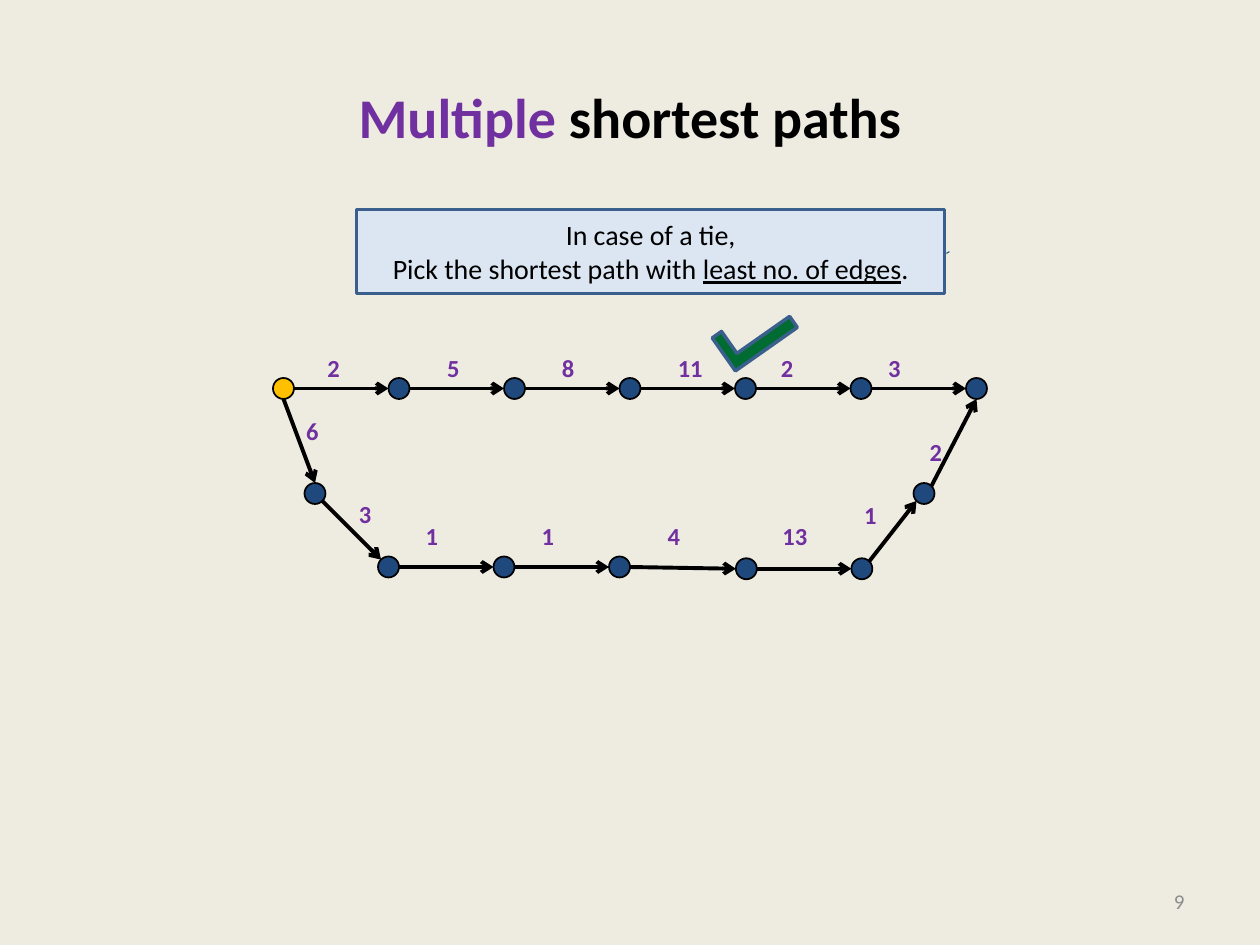
from dataclasses import dataclass
from math import sqrt

from lxml import etree
from pptx import Presentation
from pptx.dml.color import RGBColor
from pptx.enum.shapes import MSO_CONNECTOR, MSO_SHAPE
from pptx.enum.text import MSO_ANCHOR, PP_ALIGN
from pptx.oxml.ns import qn
from pptx.util import Pt

STRAIGHT = MSO_CONNECTOR.STRAIGHT
OVAL, CALLOUT, RECTANGLE = MSO_SHAPE.OVAL, MSO_SHAPE.LINE_CALLOUT_1, MSO_SHAPE.RECTANGLE
LEFT, CENTER, RIGHT = PP_ALIGN.LEFT, PP_ALIGN.CENTER, PP_ALIGN.RIGHT
MIDDLE = MSO_ANCHOR.MIDDLE

BEIGE = RGBColor(0xEE, 0xEC, 0xE1)
PURPLE = RGBColor(0x70, 0x30, 0xA0)
BLACK = RGBColor(0, 0, 0)
GRAY = RGBColor(0x8C, 0x8C, 0x8C)
PALE_BLUE = RGBColor(0xDC, 0xE6, 0xF2)
STEEL = RGBColor(0x3A, 0x5F, 0x8C)
NAVY = RGBColor(0x1F, 0x49, 0x7D)
GOLD = RGBColor(0xFF, 0xC0, 0x00)
GREEN = RGBColor(0x00, 0x6C, 0x31)

FONT = "Calibri"
RADIUS = 6
DIAGONAL = 1 / sqrt(2)
# Unit offsets from a node's centre to the points where edges attach
SITES = {
    "n": (0, -1), "s": (0, 1), "w": (-1, 0), "e": (1, 0),
    "nw": (-DIAGONAL, -DIAGONAL), "ne": (DIAGONAL, -DIAGONAL),
    "sw": (-DIAGONAL, DIAGONAL), "se": (DIAGONAL, DIAGONAL),
}


@dataclass(frozen=True)
class Node:
    x: float
    y: float
    fill: RGBColor = NAVY

    def site(self, name: str) -> tuple:
        dx, dy = SITES[name]
        return Pt(self.x + RADIUS * dx), Pt(self.y + RADIUS * dy)


@dataclass(frozen=True)
class Edge:
    start: Node
    end: Node
    weight: str
    label_left: float
    label_top: float
    leave: str = "e"
    enter: str = "w"


def write(paragraph, text: str, *, size: float, color: RGBColor = BLACK,
          bold: bool = False, underline: bool = False, align=LEFT) -> None:
    paragraph.alignment = align
    run = paragraph.add_run()
    run.text = text
    font = run.font
    font.name, font.size, font.bold = FONT, Pt(size), bold
    font.underline = underline
    font.color.rgb = color


def add_box(slide, left: float, top: float, width: float, height: float):
    return slide.shapes.add_textbox(Pt(left), Pt(top), Pt(width), Pt(height)).text_frame


def add_figure(slide, kind, left: float, top: float, width: float, height: float,
               fill: RGBColor, line: RGBColor, line_width: float):
    figure = slide.shapes.add_shape(kind, Pt(left), Pt(top), Pt(width), Pt(height))
    figure.shadow.inherit = False
    figure.fill.solid()
    figure.fill.fore_color.rgb = fill
    figure.line.color.rgb = line
    figure.line.width = Pt(line_width)
    return figure


def draw_node(slide, node: Node) -> None:
    add_figure(slide, OVAL, node.x - RADIUS, node.y - RADIUS,
               2 * RADIUS, 2 * RADIUS, node.fill, BLACK, 1)


def draw_edge(slide, edge: Edge) -> None:
    arrow = slide.shapes.add_connector(
        STRAIGHT, *edge.start.site(edge.leave), *edge.end.site(edge.enter))
    arrow.line.color.rgb = BLACK
    arrow.line.width = Pt(2.25)
    line = arrow._element.spPr.find(qn("a:ln"))
    etree.SubElement(line, qn("a:tailEnd"), type="arrow")
    etree.SubElement(arrow._element.spPr, qn("a:effectLst"))


def draw_weight(slide, edge: Edge) -> None:
    width = 14.4 + 7.1 * len(edge.weight)
    label = add_box(slide, edge.label_left, edge.label_top, width, 24.2)
    label.word_wrap = False
    write(label.paragraphs[0], edge.weight, size=14, color=PURPLE, bold=True)


def draw_check_mark(slide) -> None:
    check = add_figure(slide, RECTANGLE, 409.7, 178.6, 43.2, 23, GREEN, STEEL, 2)
    check.rotation = 324.9
    # The "corner" preset has no member in MSO_SHAPE
    geometry = check._element.spPr.find(qn("a:prstGeom"))
    geometry.set("prst", "corner")
    guides = geometry.find(qn("a:avLst"))
    for name, value in (("adj1", 33200), ("adj2", 28100)):
        etree.SubElement(guides, qn("a:gd"), name=name, fmla=f"val {value}")


def build_edges() -> list[Edge]:
    source = Node(162, 222, GOLD)
    upper = [source] + [Node(162 + 66 * i, 222) for i in range(1, 7)]
    sink = upper[-1]
    descent, ascent = Node(180, 282), Node(528, 282)
    lower = [Node(222, 324), Node(288, 324), Node(354, 324),
             Node(426.5, 325), Node(492.5, 325)]

    # Upper path: six edges
    upper_labels = zip("2 5 8 11 2 3".split(), (180, 248.4, 314, 380.2, 439.2, 500.4))
    edges = [Edge(a, b, weight, left, 198)
             for a, b, (weight, left) in zip(upper, upper[1:], upper_labels)]

    # Lower path: down, across and up again
    lower_labels = zip("1 1 4 13".split(), (236.2, 302.4, 374.4, 440))
    edges += [Edge(source, descent, "6", 167.8, 234, "s", "n"),
              Edge(descent, lower[0], "3", 198, 281.5, "se", "nw")]
    edges += [Edge(a, b, weight, left, 294)
              for a, b, (weight, left) in zip(lower, lower[1:], lower_labels)]
    edges += [Edge(lower[-1], ascent, "1", 486.7, 282.2, "ne", "sw"),
              Edge(ascent, sink, "2", 524.2, 246.2, "ne", "s")]
    return edges


def main() -> None:
    prs = Presentation()
    prs.slide_width, prs.slide_height = Pt(720), Pt(540)
    slide = prs.slides.add_slide(prs.slide_layouts[5])
    slide.background.fill.solid()
    slide.background.fill.fore_color.rgb = BEIGE

    # Title and slide number
    title = slide.shapes.title
    title.left, title.top, title.width, title.height = Pt(36), Pt(21.6), Pt(648), Pt(90)
    title.text_frame.vertical_anchor = MIDDLE
    heading = title.text_frame.paragraphs[0]
    write(heading, "Multiple ", size=32, color=PURPLE, bold=True, align=CENTER)
    write(heading, "shortest paths", size=32, bold=True, align=CENTER)

    number = add_box(slide, 516, 500.5, 168, 28.75)
    number.word_wrap = True
    number.vertical_anchor = MIDDLE
    write(number.paragraphs[0], "9", size=12, color=GRAY, align=RIGHT)

    # Tie-breaking rule
    rule = add_figure(slide, CALLOUT, 203.8, 119.6, 336, 48, PALE_BLUE, STEEL, 2)
    for i, value in enumerate((0.509, 1.005, 0.521, 1.006)):
        rule.adjustments[i] = value
    rule.text_frame.vertical_anchor = MIDDLE
    write(rule.text_frame.paragraphs[0], "In case of a tie,", size=16, align=CENTER)
    advice = rule.text_frame.add_paragraph()
    write(advice, "Pick the shortest path with ", size=16, align=CENTER)
    write(advice, "least no. of edges", size=16, underline=True, align=CENTER)
    write(advice, ".", size=16, align=CENTER)

    # Graph: each node once, then arrows, the chosen path's mark and weights
    edges = build_edges()
    for node in dict.fromkeys(n for edge in edges for n in (edge.start, edge.end)):
        draw_node(slide, node)
    for edge in edges:
        draw_edge(slide, edge)
    draw_check_mark(slide)
    for edge in edges:
        draw_weight(slide, edge)

    prs.save("out.pptx")


if __name__ == "__main__":
    main()
